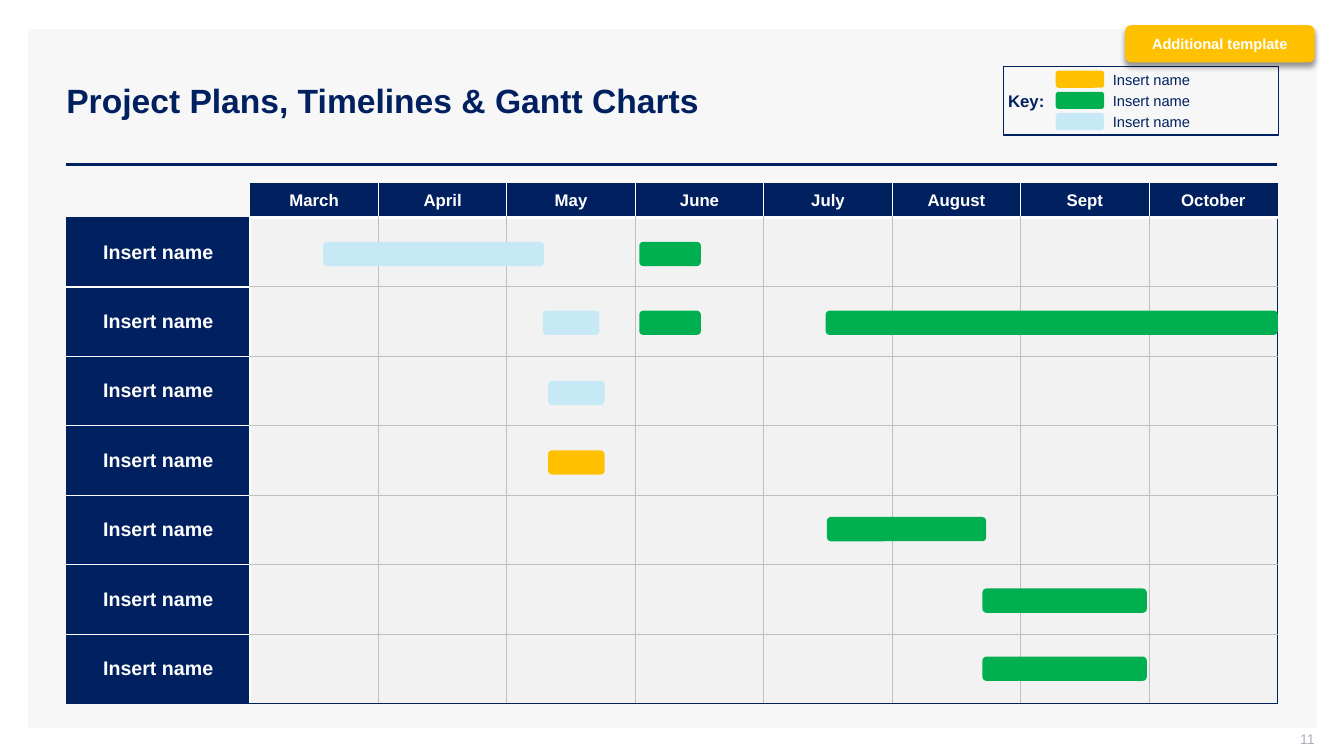
"""Build a Gantt chart slide with a key, a table of months and coloured bars."""
import pptx
import pptx.util
import pptx.dml.color
import pptx.enum.shapes
import pptx.enum.text
import pptx.oxml
import pptx.oxml.ns

RGBColor = pptx.dml.color.RGBColor
Align = pptx.enum.text.PP_ALIGN
Shape = pptx.enum.shapes.MSO_SHAPE
Inches = pptx.util.Inches
Pt = pptx.util.Pt

NAVY = RGBColor(0x00, 0x20, 0x60)
WHITE = RGBColor(0xFF, 0xFF, 0xFF)
PANEL = RGBColor(0xF7, 0xF7, 0xF7)
PALE = RGBColor(0xF2, 0xF2, 0xF2)
GREY = RGBColor(0xBF, 0xBF, 0xBF)
MUTED = RGBColor(0xAD, 0xAF, 0xBB)
SKY = RGBColor(0xC7, 0xE9, 0xF5)
GREEN = RGBColor(0x00, 0xB0, 0x50)
AMBER = RGBColor(0xFF, 0xC0, 0x00)

FONT = "Arial"
MONTHS = ["March", "April", "May", "June", "July", "August", "Sept", "October"]
TASKS = ["Insert name"] * 7
KEYS = [("Insert name", AMBER), ("Insert name", GREEN), ("Insert name", SKY)]

LEFT, TOP = 4.95, 24.27
SIDE, MONTH = 13.65, 9.56
HEAD, ROW = 4.5, 9.19
BARS = [
    (0.57, 0.35, 1.72, SKY),
    (2.28, 1.34, 0.44, SKY),
    (3.03, 0.35, 0.48, GREEN),
    (2.32, 2.35, 0.44, SKY),
    (4.49, 4.31, 1.24, GREEN),
    (5.7, 5.34, 1.28, GREEN),
    (2.32, 3.35, 0.44, AMBER),
    (3.03, 1.34, 0.48, GREEN),
    (4.48, 1.34, 3.52, GREEN),
    (5.7, 6.32, 1.28, GREEN),
]


def parse_xml(text):
    space = pptx.oxml.ns.nsdecls("a")
    return pptx.oxml.parse_xml(text.replace(">", f" {space}>", 1))


def write(frame, text, size=12, color=NAVY, bold=False, align=Align.LEFT,
          inset=(0.1, 0.05, 0.1, 0.05), anchor=pptx.enum.text.MSO_ANCHOR.MIDDLE):
    frame.word_wrap = True
    frame.vertical_anchor = anchor
    sides = ("margin_left", "margin_top", "margin_right", "margin_bottom")
    for side, length in zip(sides, inset):
        setattr(frame, side, Inches(length))
    par = frame.paragraphs[0]
    par.alignment = align
    run = par.add_run()
    run.text = text
    run.font.name = FONT
    run.font.size = Pt(size)
    run.font.bold = bold
    run.font.color.rgb = color


def upright(row, col):
    if row == 0 and col < 2:
        return None
    if col in (0, len(MONTHS) + 1):
        return NAVY, 0.75
    return (WHITE, 1) if row == 0 or col == 1 else (GREY, 0.75)


def level(row, col):
    if col == 0 and row < 2:
        return None
    if row in (0, len(TASKS) + 1):
        return NAVY, 0.75
    if row == 1:
        return WHITE, 3
    return (WHITE, 1) if col == 0 else (GREY, 0.75)


def border(cell, row, col):
    edges = {"L": upright(row, col), "R": upright(row, col + 1),
             "T": level(row, col), "B": level(row + 1, col)}
    props = cell._tc.get_or_add_tcPr()
    for side, edge in edges.items():
        if edge is None:
            xml = f'<a:ln{side}><a:noFill/></a:ln{side}>'
        else:
            color, width = edge
            xml = (f'<a:ln{side} w="{Pt(width)}"><a:solidFill>'
                   f'<a:srgbClr val="{color}"/></a:solidFill></a:ln{side}>')
        props.append(parse_xml(xml))


class Board:
    """Hold the slide and draw on it in percent shares of its size."""

    def __init__(self, deck):
        self.wide, self.high = deck.slide_width, deck.slide_height
        self.shapes = deck.slides.add_slide(deck.slide_layouts[6]).shapes

    def across(self, share):
        return round(self.wide * share / 100)

    def down(self, share):
        return round(self.high * share / 100)

    def place(self, x, y, w, h):
        return self.across(x), self.down(y), self.across(w), self.down(h)

    def block(self, kind, spot, fill=None, line=None):
        shape = self.shapes.add_shape(kind, *self.place(*spot))
        shape.shadow.inherit = False
        if fill is None:
            shape.fill.background()
        else:
            shape.fill.solid()
            shape.fill.fore_color.rgb = fill
        if line is None:
            shape.line.fill.background()
        else:
            shape.line.color.rgb = line
            shape.line.width = Pt(0.75)
        return shape

    def label(self, spot, text, **form):
        write(self.shapes.add_textbox(*self.place(*spot)).text_frame, text, **form)

    def rule(self, x, y, end):
        kind = pptx.enum.shapes.MSO_CONNECTOR.STRAIGHT
        line = self.shapes.add_connector(
            kind, self.across(x), self.down(y), self.across(end), self.down(y))
        line.line.color.rgb = NAVY
        line.line.width = Pt(2)
        line._element.spPr.append(parse_xml("<a:effectLst></a:effectLst>"))

    def table(self):
        rows, cols = len(TASKS) + 1, len(MONTHS) + 1
        spot = self.place(LEFT, TOP, SIDE + MONTH * len(MONTHS), HEAD + ROW * len(TASKS))
        grid = self.shapes.add_table(rows, cols, *spot).table
        grid.first_row = grid.horz_banding = False
        for col in range(cols):
            grid.columns[col].width = self.across(MONTH if col else SIDE)
        for row in range(rows):
            grid.rows[row].height = self.down(ROW if row else HEAD)
            for col in range(cols):
                self.cell(grid.cell(row, col), row, col)

    def cell(self, cell, row, col):
        border(cell, row, col)
        cell.margin_top = cell.margin_bottom = 0
        if row == col == 0:
            cell.fill.background()
            return
        cell.fill.solid()
        cell.fill.fore_color.rgb = PALE if row and col else NAVY
        if row and col:
            return
        text, size = (TASKS[row - 1], 14) if row else (MONTHS[col - 1], 12)
        write(cell.text_frame, text, size=size, color=WHITE, bold=True, align=Align.CENTER)
        cell.vertical_anchor = pptx.enum.text.MSO_ANCHOR.MIDDLE
        cell.margin_left = cell.margin_right = Inches(0.07)
        cell.margin_top = cell.margin_bottom = 0

    def bar(self, start, row, span, fill):
        x = LEFT + SIDE + MONTH * start
        y = TOP + HEAD + ROW * row
        self.block(Shape.ROUNDED_RECTANGLE, (x, y, MONTH * span, ROW * 0.35), fill)

    def legend(self):
        box = self.block(Shape.RECTANGLE, (74.7, 8.8, 20.4, 9.07), line=NAVY)
        write(box.text_frame, "Key:", bold=True, inset=(0.04, 0.05, 0.1, 0.05))
        for i, (name, fill) in enumerate(KEYS):
            y = 9.35 + 2.8 * i
            self.block(Shape.ROUNDED_RECTANGLE, (78.55, y, 3.6, 2.27), fill)
            self.label((82.07, y - 0.7, 10.65, 3.73), name, size=10.5,
                       anchor=pptx.enum.text.MSO_ANCHOR.TOP)

    def badge(self, text):
        tag = self.block(Shape.ROUNDED_RECTANGLE, (83.72, 3.33, 14.1, 4.93), AMBER)
        write(tag.text_frame, text, size=10.5, color=WHITE, bold=True, align=Align.CENTER)
        glow = parse_xml(
            f'<a:outerShdw blurRad="{Pt(4)}" dist="{Pt(3)}" dir="5400000" rotWithShape="0">'
            '<a:srgbClr val="000000"><a:alpha val="40000"/></a:srgbClr></a:outerShdw>')
        tag._element.spPr.find(pptx.oxml.ns.qn("a:effectLst")).append(glow)


def main():
    deck = pptx.Presentation()
    deck.slide_width, deck.slide_height = Inches(13.33), Inches(7.5)
    board = Board(deck)
    board.block(Shape.RECTANGLE, (2.1, 3.87, 95.87, 92.4), PANEL)
    board.rule(LEFT, 21.73, 95.05)
    board.label((4.2, 5.33, 90.85, 15.87), "Project Plans, Timelines & Gantt Charts",
                size=24, bold=True)
    board.label((75.32, 96.67, 22.5, 2.8), "11", size=10, color=MUTED,
                align=Align.RIGHT, inset=(0.1, 0, 0, 0.05))
    board.table()
    for bar in BARS:
        board.bar(*bar)
    board.legend()
    board.badge("Additional template")
    deck.save("out.pptx")


if __name__ == "__main__":
    main()
